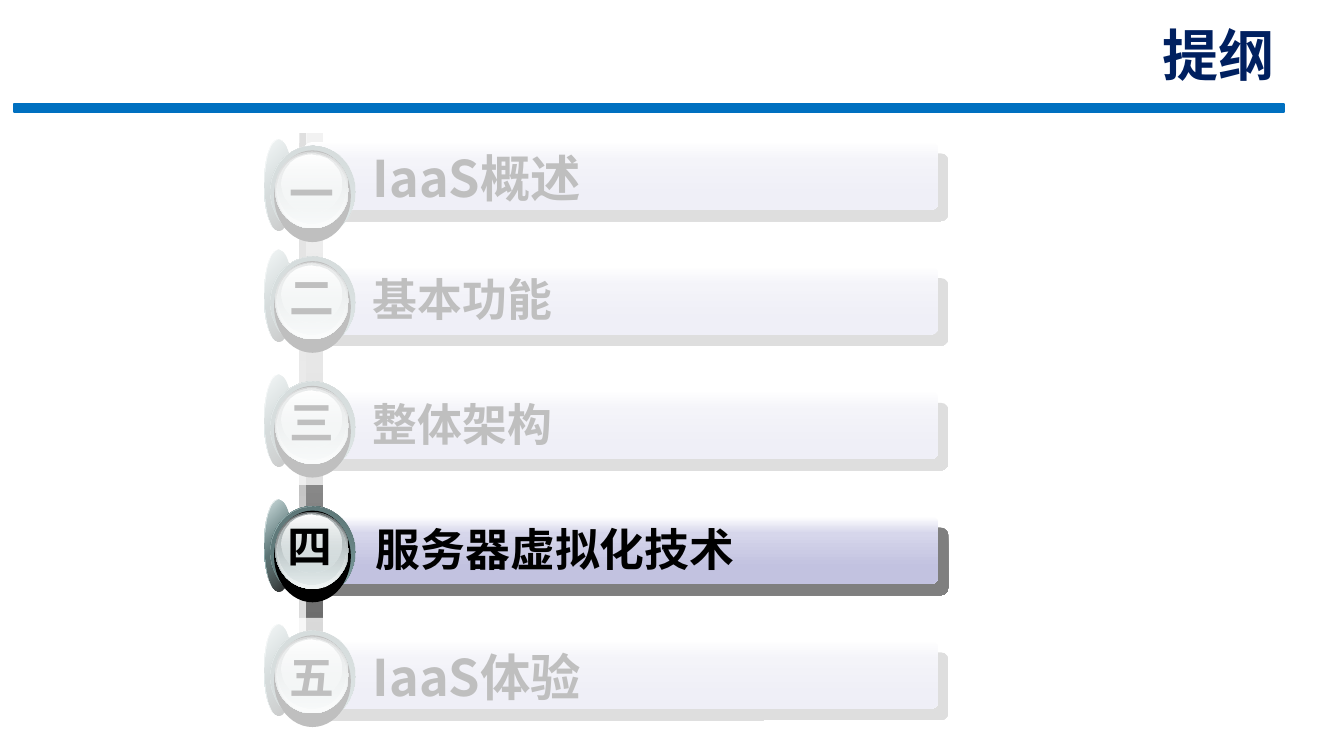
from dataclasses import dataclass

from lxml.etree import SubElement
from pptx import Presentation
from pptx.dml.color import RGBColor
from pptx.enum.shapes import MSO_SHAPE as Preset
from pptx.enum.text import MSO_ANCHOR as Anchor, MSO_AUTO_SIZE as AutoSize, PP_ALIGN as Align
from pptx.oxml.ns import qn
from pptx.shapes.autoshape import Shape
from pptx.shapes.shapetree import GroupShapes, SlideShapes
from pptx.slide import Slide
from pptx.text.text import TextFrame
from pptx.util import Pt

Tree = SlideShapes | GroupShapes


@dataclass(frozen=True)
class Theme:
    title_font: str = "Cabin"
    font: str = "Noto Sans CJK SC"
    title_size: float = 40
    latin_label_size: float = 36
    label_size: float = 32
    title: str = "002060"
    rule: str = "0070C0"
    black: str = "000000"
    white: str = "FFFFFF"
    teal: str = "83A6A7"
    dark_teal: str = "475A5A"
    mid_teal: str = "53696A"
    mist: str = "D6E1E2"
    pale_mist: str = "F1F5F5"
    steel: str = "AAB2B3"
    slate: str = "636869"
    lilac: str = "D6D6EB"
    deep_lilac: str = "C2C2E0"


THEME = Theme()


@dataclass(frozen=True)
class Stop:
    position: float
    colour: str
    opacity: float = 100


@dataclass(frozen=True)
class Paint:
    """One stop gives a solid fill, several give a linear gradient."""
    stops: tuple[Stop, ...]
    angle: float = 90


@dataclass(frozen=True)
class Area:
    left: float
    top: float
    width: float
    height: float


@dataclass(frozen=True)
class Row:
    numeral: str
    label: str
    label_size: float = THEME.label_size
    dial_rise: float = 12.1
    numeral_drop: float = 10.8
    numeral_left: float = 199.4
    bar_left: float = 217.4
    label_left: float = 259.2


def solid(colour: str, opacity: float = 100) -> Paint:
    return Paint((Stop(0, colour, opacity),))


def blend(start: str, end: str, start_opacity: float = 100,
          end_opacity: float = 100, angle: float = 90) -> Paint:
    return Paint((Stop(0, start, start_opacity), Stop(100, end, end_opacity)), angle)


def sheen(edge: str, middle: str, angle: float) -> Paint:
    return Paint((Stop(0, edge), Stop(50, middle), Stop(100, edge)), angle)


# Layers of a dial from back to front; tops are measured from the top of the dial.
FIN = Area(188.6, 0, 20.2, 65.5)
RIM = Area(193, 4.8, 60.6, 65.5)
DIAL = (
    (FIN, sheen(THEME.white, THEME.teal, 45)),
    (FIN, blend(THEME.teal, THEME.black, 32, 90, 45)),
    (RIM, sheen(THEME.dark_teal, THEME.teal, 315)),
    (RIM, blend(THEME.mid_teal, THEME.teal, 100, 0, 45)),
    (Area(195.8, 8, 54.8, 65.5), solid(THEME.black)),
    (Area(196.6, 8.8, 52.6, 55), blend(THEME.slate, THEME.mist)),
    (Area(197.3, 9.4, 51.2, 54), blend(THEME.mist, THEME.pale_mist, 0)),
    (Area(198, 10.1, 49, 50.4), blend(THEME.steel, THEME.mist, 100, 48)),
    (Area(200.9, 11.2, 43.3, 41), blend(THEME.white, THEME.mist, 100, 38)),
)
BAR_PAINT = Paint((Stop(0, THEME.white), Stop(25, THEME.lilac), Stop(75, THEME.deep_lilac)))
BAR_RIGHT, BAR_HEIGHT = 670.3, 48.4
FIRST_BAR_TOP, ROW_PITCH = 101.5, 89.1
ROWS = (
    Row("一", "IaaS概述", THEME.latin_label_size, dial_rise=2.1, numeral_drop=15.1),
    Row("二", "基本功能"),
    Row("三", "整体架构"),
    Row("四", "服务器虚拟化技术", numeral_drop=10.1, numeral_left=198,
        bar_left=211, label_left=261.4),
    Row("五", "IaaS体验", THEME.latin_label_size, numeral_drop=14.4),
)
RODS = (
    (Area(213.8, 95, 5, 399.6), blend("808080", "ECECEC")),
    (Area(218.8, 95, 12.2, 399.6), blend("CFCFCF", "5F5F5F")),
)
VEILS = (Area(114.5, 88.6, 652.3, 257.8), Area(123.8, 441.4, 652.3, 94.3))


def add_colour(parent, stop: Stop) -> None:
    colour = SubElement(parent, qn("a:srgbClr"), val=stop.colour)
    if stop.opacity < 100:
        SubElement(colour, qn("a:alpha"), val=str(int(stop.opacity * 1000)))


def apply_paint(box: Shape, paint: Paint) -> None:
    properties = box._element.spPr
    if len(paint.stops) == 1:
        add_colour(SubElement(properties, qn("a:solidFill")), paint.stops[0])
        return
    gradient = SubElement(properties, qn("a:gradFill"), rotWithShape="1")
    stop_list = SubElement(gradient, qn("a:gsLst"))
    for stop in paint.stops:
        add_colour(SubElement(stop_list, qn("a:gs"), pos=str(int(stop.position * 1000))), stop)
    SubElement(gradient, qn("a:lin"), ang=str(int(paint.angle * 60000)), scaled="0")


def add_painted(shapes: Tree, preset: Preset, area: Area, paint: Paint) -> Shape:
    box = shapes.add_shape(preset, Pt(area.left), Pt(area.top), Pt(area.width), Pt(area.height))
    apply_paint(box, paint)
    box.line.fill.background()
    box.shadow.inherit = False
    return box


def add_bar_shadow(bar: Shape) -> None:
    effects = bar._element.spPr.find(qn("a:effectLst"))
    shadow = SubElement(effects, qn("a:outerShdw"), blurRad="0", dist=str(Pt(10.6)),
                        dir=str(49 * 60000), algn="ctr", rotWithShape="0")
    add_colour(shadow, Stop(0, THEME.black, 50))


def write(frame: TextFrame, text: str, size: float, colour: str, font: str) -> None:
    span = frame.paragraphs[0].add_run()
    span.text = text
    span.font.size = Pt(size)
    span.font.bold = True
    span.font.name = font
    span.font.color.rgb = RGBColor.from_string(colour)
    SubElement(span._r.get_or_add_rPr(), qn("a:ea"), typeface=THEME.font)


def add_text(shapes: Tree, area: Area, text: str, size: float, wrap: bool) -> None:
    box = shapes.add_textbox(Pt(area.left), Pt(area.top), Pt(area.width), Pt(area.height))
    box.text_frame.word_wrap = wrap
    box.text_frame.auto_size = AutoSize.SHAPE_TO_FIT_TEXT
    write(box.text_frame, text, size, THEME.black, THEME.font)


def add_row(page: Slide, row: Row, top: float) -> None:
    shapes = page.shapes.add_group_shape().shapes
    bar = add_painted(shapes, Preset.ROUNDED_RECTANGLE,
                      Area(row.bar_left, top, BAR_RIGHT - row.bar_left, BAR_HEIGHT), BAR_PAINT)
    bar.adjustments[0] = 0.11
    add_bar_shadow(bar)
    add_text(shapes, Area(row.label_left, top, 372.2, 46), row.label, row.label_size, True)
    dial_top = top - row.dial_rise
    for area, paint in DIAL:
        add_painted(shapes, Preset.OVAL,
                    Area(area.left, dial_top + area.top, area.width, area.height), paint)
    add_text(shapes, Area(row.numeral_left, dial_top + row.numeral_drop, 45.4, 46),
             row.numeral, THEME.label_size, False)


def add_header(page: Slide) -> None:
    rule = add_painted(page.shapes, Preset.RECTANGLE, Area(10.1, 74.2, 907.2, 5.8),
                       solid(THEME.rule))
    rule.line.color.rgb = RGBColor.from_string(THEME.rule)
    rule.line.width = Pt(1)
    title = page.shapes.title
    title.left, title.top, title.width, title.height = Pt(461.5), Pt(24.5), Pt(455.8), Pt(41.8)
    frame = title.text_frame
    frame.auto_size = AutoSize.NONE
    frame.vertical_anchor = Anchor.BOTTOM
    frame.paragraphs[0].alignment = Align.RIGHT
    write(frame, "提纲", THEME.title_size, THEME.title, THEME.title_font)


def main() -> None:
    deck = Presentation()
    deck.slide_width, deck.slide_height = Pt(960), Pt(540)
    page = deck.slides.add_slide(deck.slide_layouts.get_by_name("Title Only"))
    add_header(page)
    for area, paint in RODS:
        add_painted(page.shapes, Preset.RECTANGLE, area, paint)
    for index, row in enumerate(ROWS):
        add_row(page, row, FIRST_BAR_TOP + index * ROW_PITCH)
    for area in VEILS:
        add_painted(page.shapes, Preset.RECTANGLE, area, solid(THEME.white, 75))
    deck.save("out.pptx")


if __name__ == "__main__":
    main()
